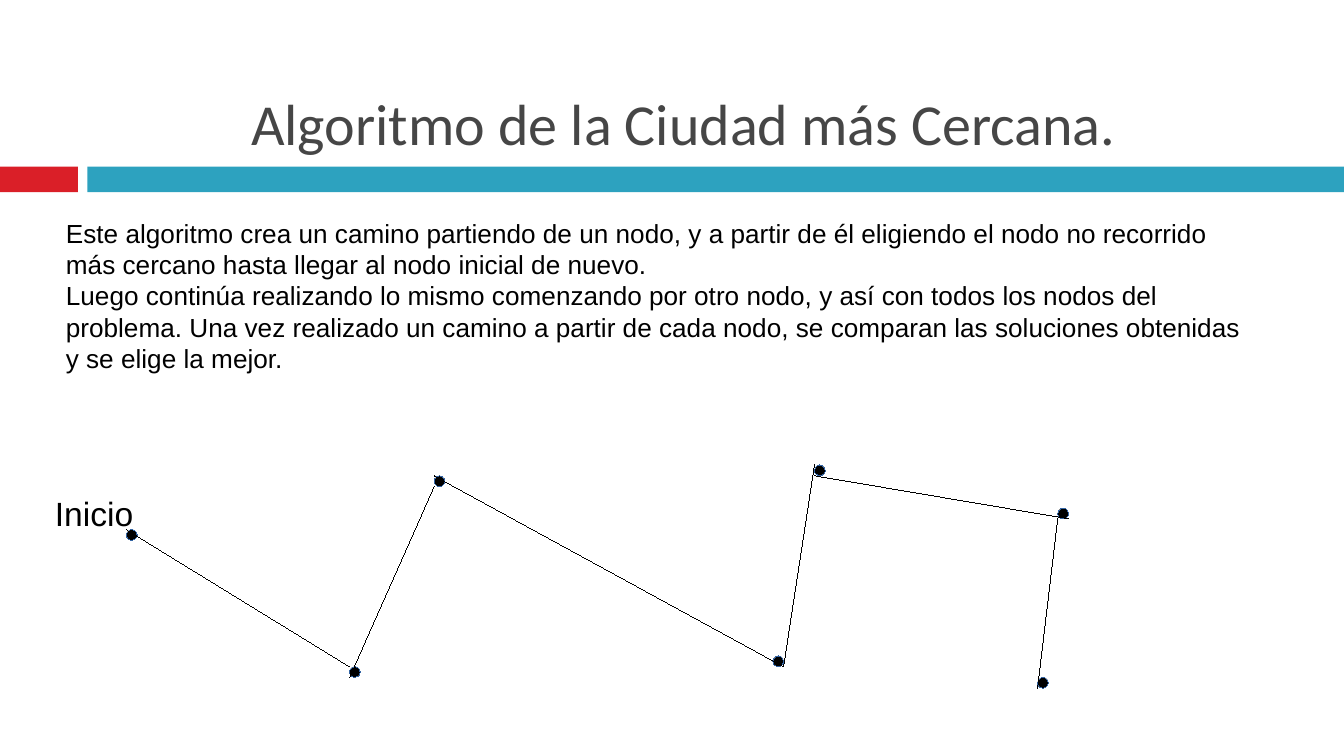
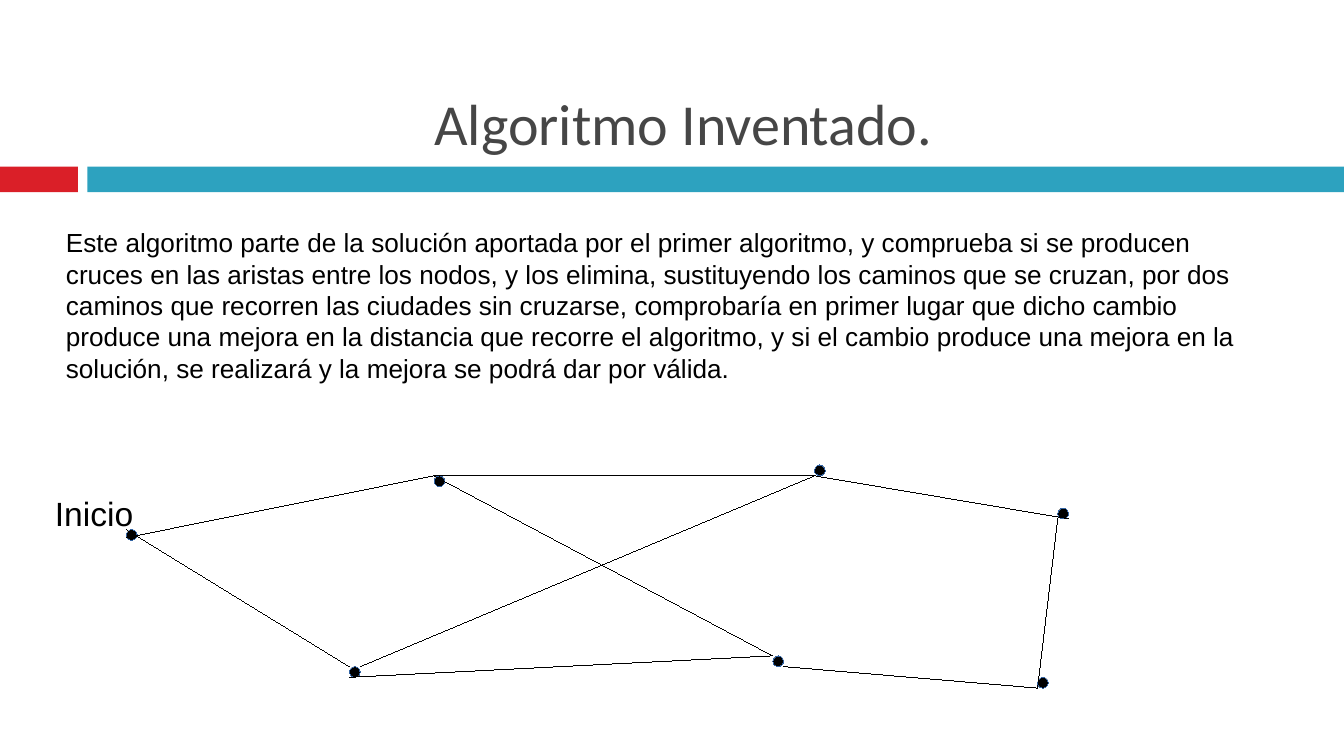
"""Build two slides that explain route algorithms with node diagrams."""
from dataclasses import dataclass
from enum import Enum
from typing import NamedTuple

from lxml import etree
from pptx import Presentation
from pptx.dml.color import RGBColor
from pptx.enum.shapes import MSO_CONNECTOR, MSO_SHAPE
from pptx.enum.text import MSO_ANCHOR, MSO_AUTO_SIZE, PP_ALIGN
from pptx.oxml.ns import qn
from pptx.shapes.autoshape import Shape
from pptx.shapes.connector import Connector
from pptx.slide import Slide
from pptx.text.text import TextFrame
from pptx.util import Inches, Pt

RECTANGLE, OVAL = MSO_SHAPE.RECTANGLE, MSO_SHAPE.OVAL
STRAIGHT = MSO_CONNECTOR.STRAIGHT
TOP, BOTTOM = MSO_ANCHOR.TOP, MSO_ANCHOR.BOTTOM
LEFT, CENTER = PP_ALIGN.LEFT, PP_ALIGN.CENTER
NO_FIT, GROW = MSO_AUTO_SIZE.NONE, MSO_AUTO_SIZE.SHAPE_TO_FIT_TEXT

RED = RGBColor(0xDA, 0x1F, 0x28)
TEAL = RGBColor(0x2D, 0xA2, 0xBF)
GRAY = RGBColor(0x46, 0x46, 0x46)
BLUE = RGBColor(0x34, 0x65, 0xA4)
BLACK = RGBColor(0, 0, 0)
WHITE = RGBColor(0xFF, 0xFF, 0xFF)

TITLE_FONT, TEXT_FONT = "Calibri", "Arial"
SLIDE_WIDTH = Inches(10)
SLIDE_HEIGHT = SLIDE_WIDTH * 9 // 16
NODE_SIZE = 0.08


class Corner(Enum):
    """Point of a node's box, as an offset from its top left."""

    TOP_LEFT = (0, 0)
    TOP_RIGHT = (NODE_SIZE, 0)
    LOW_LEFT = (0, 0.06)
    BOTTOM_LEFT = (0, NODE_SIZE)
    BOTTOM_RIGHT = (NODE_SIZE, NODE_SIZE)


TL, TR, LL = Corner.TOP_LEFT, Corner.TOP_RIGHT, Corner.LOW_LEFT
BL, BR = Corner.BOTTOM_LEFT, Corner.BOTTOM_RIGHT


class Band(NamedTuple):
    """Coloured strip under the title."""

    left: float
    width: float
    color: RGBColor


class City(NamedTuple):
    """Top left of a node's box, in inches."""

    left: float
    top: float


class Edge(NamedTuple):
    """Path between two cities, from corner to corner."""

    start: City
    start_corner: Corner
    end: City
    end_corner: Corner


class TextStyle(NamedTuple):
    """Font, size, colour and alignment of a text."""

    font: str
    size: float
    color: RGBColor
    align: PP_ALIGN = LEFT


@dataclass(frozen=True)
class AlgorithmSlide:
    """Content of one slide."""

    title: str
    description: tuple[str, ...]
    description_top: float
    edges: tuple[Edge, ...]


TITLE_STYLE = TextStyle(TITLE_FONT, 31.1, GRAY, CENTER)
BODY_STYLE = TextStyle(TEXT_FONT, 14, BLACK)
LABEL_STYLE = TextStyle(TEXT_FONT, 18, BLACK)

BANDS = (Band(0, 0.58, RED), Band(0.65, 9.35, TEAL))

UPPER_LEFT = City(3.23, 3.54)
START = City(0.94, 3.94)
LOWER_LEFT = City(2.6, 4.96)
LOWER_MIDDLE = City(5.75, 4.88)
UPPER_MIDDLE = City(6.06, 3.46)
UPPER_RIGHT = City(7.87, 3.78)
LOWER_RIGHT = City(7.72, 5.04)
CITIES = (UPPER_LEFT, START, LOWER_LEFT, LOWER_MIDDLE, UPPER_MIDDLE,
          UPPER_RIGHT, LOWER_RIGHT)

FIRST_EDGE = Edge(START, TL, LOWER_LEFT, TL)
RIGHT_EDGES = (
    Edge(UPPER_MIDDLE, BL, UPPER_RIGHT, BR),
    Edge(LOWER_RIGHT, BL, UPPER_RIGHT, BL),
)

SLIDES = (
    AlgorithmSlide(
        "Algoritmo de la Ciudad más Cercana.",
        (
            "Este algoritmo crea un camino partiendo de un nodo, y a partir de "
            "él eligiendo el nodo no recorrido más cercano hasta llegar al nodo "
            "inicial de nuevo.",
            "Luego continúa realizando lo mismo comenzando por otro nodo, y así "
            "con todos los nodos del problema. Una vez realizado un camino a "
            "partir de cada nodo, se comparan las soluciones obtenidas y se "
            "elige la mejor.",
        ),
        1.57,
        (
            FIRST_EDGE,
            Edge(LOWER_LEFT, BL, UPPER_LEFT, BL),
            Edge(UPPER_LEFT, TL, LOWER_MIDDLE, BR),
            Edge(LOWER_MIDDLE, BR, UPPER_MIDDLE, TL),
            *RIGHT_EDGES,
        ),
    ),
    AlgorithmSlide(
        "Algoritmo Inventado.",
        (
            "Este algoritmo parte de la solución aportada por el primer "
            "algoritmo, y comprueba si se producen cruces en las aristas entre "
            "los nodos, y los elimina, sustituyendo los caminos que se cruzan, "
            "por dos caminos que recorren las ciudades sin cruzarse, "
            "comprobaría en primer lugar que dicho cambio produce una mejora en "
            "la distancia que recorre el algoritmo, y si el cambio produce una "
            "mejora en la solución, se realizará y la mejora se podrá dar por "
            "válida.",
        ),
        1.64,
        (
            FIRST_EDGE,
            Edge(LOWER_LEFT, TR, UPPER_MIDDLE, BL),
            *RIGHT_EDGES,
            Edge(UPPER_LEFT, TL, LOWER_MIDDLE, TL),
            Edge(LOWER_MIDDLE, BR, LOWER_RIGHT, BL),
            Edge(START, LL, UPPER_LEFT, TL),
            Edge(LOWER_LEFT, BL, LOWER_MIDDLE, TL),
            Edge(UPPER_LEFT, TL, UPPER_MIDDLE, BL),
        ),
    ),
)


def write_text(frame: TextFrame, texts: tuple[str, ...], style: TextStyle,
               anchor: MSO_ANCHOR = TOP, fit: MSO_AUTO_SIZE = NO_FIT) -> None:
    """Fill a text frame with one unbulleted paragraph per text."""
    frame.word_wrap = True
    frame.auto_size = fit
    frame.vertical_anchor = anchor
    frame.margin_left = frame.margin_right = Inches(0.1)
    frame.margin_top = frame.margin_bottom = Inches(0.05)
    for index, text in enumerate(texts):
        paragraph = frame.add_paragraph() if index else frame.paragraphs[0]
        paragraph.alignment = style.align
        paragraph.space_before = Pt(0)
        properties = paragraph._p.get_or_add_pPr()
        properties.set("marL", "0")
        properties.set("indent", "0")
        etree.SubElement(properties, qn("a:buNone"))
        run = paragraph.add_run()
        run.text = text
        run.font.name = style.font
        run.font.size = Pt(style.size)
        run.font.color.rgb = style.color


def set_hairline(outlined: Shape | Connector, color: RGBColor) -> None:
    """Give an outline a colour and an explicit zero width."""
    outlined.line.color.rgb = color
    outlined.element.spPr.find(qn("a:ln")).set("w", "0")


def add_band(slide: Slide, band: Band) -> None:
    """Draw a strip under the title."""
    strip = slide.shapes.add_shape(RECTANGLE, Inches(band.left), Inches(1.24),
                                   Inches(band.width), Inches(0.19))
    strip.shadow.inherit = False
    strip.fill.solid()
    strip.fill.fore_color.rgb = band.color
    strip.line.fill.background()


def add_title(slide: Slide, title: str) -> None:
    """Place and write the slide title."""
    heading = slide.shapes.title
    heading.left, heading.top = Inches(0.67), Inches(0.08)
    heading.width, heading.height = Inches(8.83), Inches(1.14)
    write_text(heading.text_frame, (title,), TITLE_STYLE, BOTTOM)


def add_description(slide: Slide, texts: tuple[str, ...], top: float) -> None:
    """Place and write the explanation of the algorithm."""
    description = slide.placeholders[1]
    description.left, description.top = Inches(0.39), Inches(top)
    description.width, description.height = Inches(9.06), Inches(1.81)
    description.rotation = 0.06
    description.fill.solid()
    description.fill.fore_color.rgb = WHITE
    write_text(description.text_frame, texts, BODY_STYLE)


def add_city(slide: Slide, city: City) -> None:
    """Draw a city as a dot."""
    dot = slide.shapes.add_shape(OVAL, Inches(city.left), Inches(city.top),
                                 Inches(NODE_SIZE), Inches(NODE_SIZE))
    dot.shadow.inherit = False
    dot.fill.solid()
    dot.fill.fore_color.rgb = BLACK
    set_hairline(dot, BLUE)


def add_start_label(slide: Slide) -> None:
    """Label the starting city."""
    label = slide.shapes.add_textbox(Inches(0.31), Inches(3.62),
                                     Inches(1.57), Inches(0.38))
    write_text(label.text_frame, ("Inicio",), LABEL_STYLE, fit=GROW)


def corner_point(city: City, corner: Corner) -> tuple[Inches, Inches]:
    """Return the position of a corner of a city's box."""
    across, down = corner.value
    return Inches(city.left + across), Inches(city.top + down)


def add_edge(slide: Slide, edge: Edge) -> None:
    """Draw the path between two cities."""
    route = slide.shapes.add_connector(
        STRAIGHT,
        *corner_point(edge.start, edge.start_corner),
        *corner_point(edge.end, edge.end_corner),
    )
    set_hairline(route, BLACK)
    etree.SubElement(route.element.spPr, qn("a:effectLst"))


def main() -> None:
    """Build and save the presentation."""
    deck = Presentation()
    deck.slide_width, deck.slide_height = SLIDE_WIDTH, SLIDE_HEIGHT
    for content in SLIDES:
        slide = deck.slides.add_slide(deck.slide_layouts[1])
        for band in BANDS:
            add_band(slide, band)
        add_title(slide, content.title)
        add_description(slide, content.description, content.description_top)
        for city in CITIES:
            add_city(slide, city)
        add_start_label(slide)
        for edge in content.edges:
            add_edge(slide, edge)
    deck.save("out.pptx")


if __name__ == "__main__":
    main()
